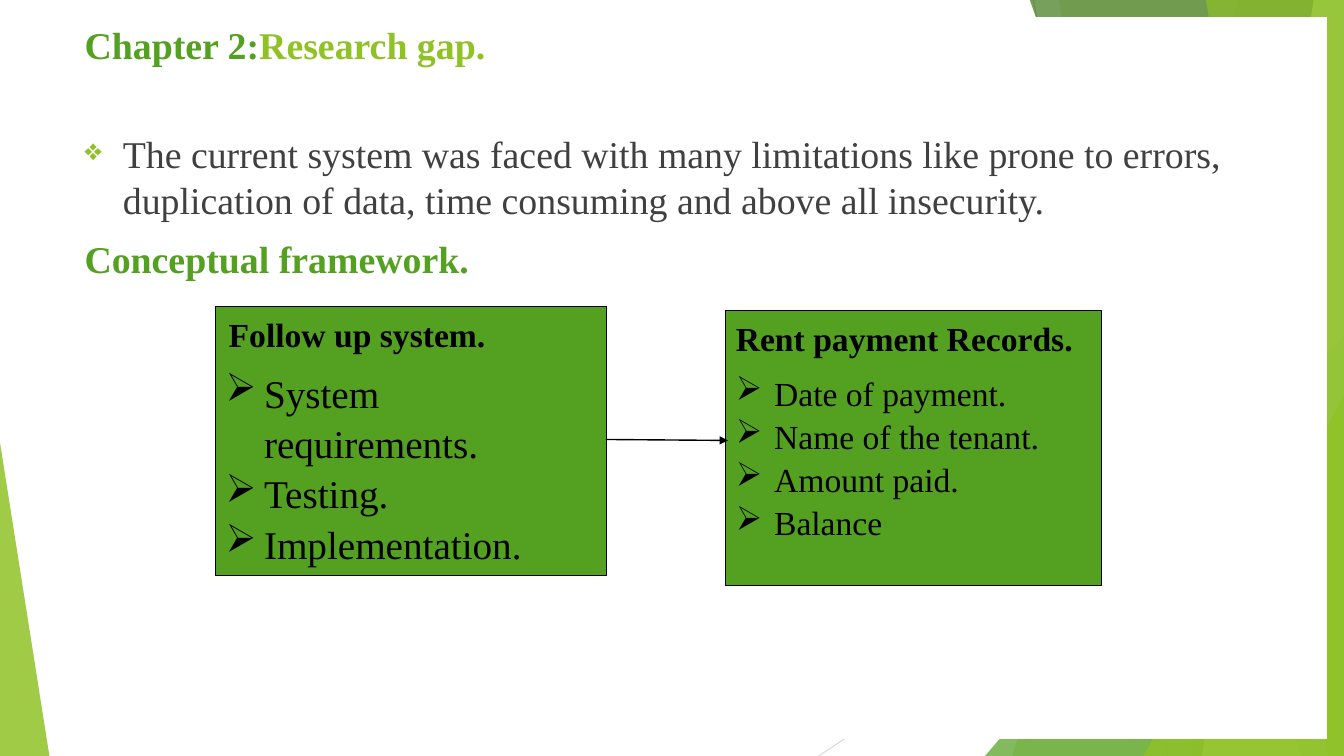
from lxml import etree
from pptx import Presentation
from pptx.dml.color import RGBColor
from pptx.enum import shapes, text
from pptx.oxml import ns
from pptx.util import Inches, Pt

WHITE = RGBColor(0xFF, 0xFF, 0xFF)
BLACK = RGBColor(0, 0, 0)
CHARCOAL = RGBColor(0x40, 0x40, 0x40)
SILVER = RGBColor(0xBF, 0xBF, 0xBF)
PALE_GREY = RGBColor(0xD9, 0xD9, 0xD9)
LIME = RGBColor(0x90, 0xC2, 0x26)
GREEN = RGBColor(0x54, 0xA0, 0x21)
FOREST = RGBColor(0x3F, 0x78, 0x19)
PALE_LIME = RGBColor(0xC0, 0xE4, 0x74)
FONT = "Times New Roman"
WIDTH, HEIGHT, TOP = 13.33, 7.5, -0.01


def paint(shape, color, opacity=100, outline=None):
    """Fill a shape, set its opacity and its optional outline."""
    shape.shadow.inherit = False
    shape.fill.solid()
    shape.fill.fore_color.rgb = color
    if opacity < 100:
        solid = shape.fill._xPr.find(ns.qn("a:solidFill"))
        etree.SubElement(solid[0], ns.qn("a:alpha"), val=str(opacity * 1000))
    if outline is None:
        shape.line.fill.background()
    else:
        shape.line.color.rgb = outline
        shape.line.width = Pt(0.75)


def add_line(slide, start, end, color, width, arrow=False):
    """Draw a straight line, with an arrowhead at its end if asked."""
    ends = [Inches(value) for value in (*start, *end)]
    line = slide.shapes.add_connector(shapes.MSO_CONNECTOR.STRAIGHT, *ends)
    line.line.color.rgb = color
    line.line.width = Pt(width)
    if arrow:
        etree.SubElement(line.line._get_or_add_ln(), ns.qn("a:tailEnd"), type="triangle")
    etree.SubElement(line._element.spPr, ns.qn("a:effectLst"))


def add_band(slide, top_left, bottom_left, color, opacity):
    """Draw a slanted band that reaches the right edge of the slide."""
    corners = [(top_left, TOP), (WIDTH, TOP), (WIDTH, HEIGHT), (bottom_left, HEIGHT)]
    points = [(Inches(x), Inches(y)) for x, y in corners]
    builder = slide.shapes.build_freeform(*points[0])
    builder.add_line_segments(points[1:], close=True)
    paint(builder.convert_to_shape(), color, opacity)


def add_corner(slide, left, top, width, apex, color, opacity):
    """Draw a right triangle standing on the bottom edge."""
    box = [Inches(value) for value in (left, top, width, HEIGHT - top)]
    corner = slide.shapes.add_shape(shapes.MSO_SHAPE.ISOSCELES_TRIANGLE, *box)
    corner.adjustments[0] = apex
    paint(corner, color, opacity)


def add_panel(slide, box, color, outline=None):
    """Add a filled rectangle and return its text frame."""
    panel = slide.shapes.add_shape(
        shapes.MSO_SHAPE.RECTANGLE, *[Inches(value) for value in box])
    paint(panel, color, outline=outline)
    panel.text_frame.word_wrap = True
    panel.text_frame.vertical_anchor = text.MSO_ANCHOR.TOP
    return panel.text_frame


def add_paragraph(frame, runs, size, before=0, after=0, spacing=1.0, indent=0):
    """Add a left-aligned paragraph of (words, color, bold) runs."""
    first = frame.paragraphs[0]
    paragraph = frame.add_paragraph() if first.runs else first
    paragraph.alignment = text.PP_ALIGN.LEFT
    paragraph.space_before, paragraph.space_after = Pt(before), Pt(after)
    paragraph.line_spacing = spacing
    paragraph._p.get_or_add_pPr().set("marL", str(Inches(indent)))
    for words, color, bold in runs:
        run = paragraph.add_run()
        run.text = words
        run.font.name, run.font.size, run.font.bold = FONT, Pt(size), bold
        run.font.color.rgb = color
    return paragraph


def add_bullet(paragraph, char, color, percent=100):
    """Give a paragraph a hanging bullet."""
    props = paragraph._p.get_or_add_pPr()
    props.set("marL", str(Inches(0.38)))
    props.set("indent", str(Inches(-0.38)))
    tint = etree.SubElement(props, ns.qn("a:buClr"))
    etree.SubElement(tint, ns.qn("a:srgbClr"), val=str(color))
    etree.SubElement(props, ns.qn("a:buSzPct"), val=str(percent * 1000))
    etree.SubElement(props, ns.qn("a:buChar"), char=char)


def add_concept(slide, box, heading, items, size, indent=0):
    """Add a green box with a bold heading and arrow bullets."""
    frame = add_panel(slide, box, GREEN, BLACK)
    add_paragraph(frame, [(heading, BLACK, True)], 24, after=8, spacing=1.07, indent=indent)
    for item in items:
        entry = add_paragraph(frame, [(item, BLACK, False)], size, spacing=1.07)
        add_bullet(entry, "➢", BLACK)


def add_backdrop(slide):
    """Draw the green facets around the slide."""
    add_line(slide, (10.25, 0), (11.58, HEIGHT), SILVER, 0.75)
    add_line(slide, (WIDTH, 4.03), (8.12, HEIGHT), PALE_GREY, 0.75)
    add_band(slide, 12.28, 10.04, LIME, 30)
    add_band(slide, 10.5, 11.83, LIME, 20)
    add_corner(slide, 9.77, 3.33, 3.56, 1, GREEN, 72)
    add_band(slide, 10.21, 12.91, FOREST, 70)
    add_band(slide, 13.03, 11.92, PALE_LIME, 70)
    add_band(slide, 11.96, 13.18, LIME, 65)
    add_corner(slide, 11.34, 3.93, 1.99, 1, LIME, 80)
    add_corner(slide, 0, 4.39, 0.49, 0, LIME, 85)


def main():
    """Build the research gap slide."""
    deck = Presentation()
    deck.slide_width, deck.slide_height = Inches(WIDTH), Inches(HEIGHT)
    slide = deck.slides.add_slide(deck.slide_layouts[6])
    add_backdrop(slide)

    title = add_panel(slide, (0.74, 0.17, 12.42, 1.09), WHITE)
    add_paragraph(title, [("Chapter 2:", GREEN, True), ("Research gap.", LIME, True)], 27)

    body = add_panel(slide, (0.74, 1.25, 12.42, 6.08), WHITE)
    gap = ("The current system was faced with many limitations like prone to errors, "
           "duplication of data, time consuming and above all insecurity.")
    add_bullet(add_paragraph(body, [(gap, CHARCOAL, False)], 27, before=10), "❖", LIME, 80)
    add_paragraph(body, [("Conceptual framework.", GREEN, True)], 27, before=10)

    add_concept(slide, (2.14, 3.04, 3.88, 2.67), "Follow up system.",
                ["System requirements.", "Testing.", "Implementation."], 28, indent=0.03)
    add_concept(slide, (7.2, 3.08, 3.73, 2.73), "Rent payment Records.",
                ["Date of payment.", "Name of the tenant.", "Amount paid.", "Balance"], 24)
    add_line(slide, (6.01, 4.36), (7.22, 4.37), BLACK, 1, arrow=True)
    deck.save("out.pptx")


if __name__ == "__main__":
    main()
